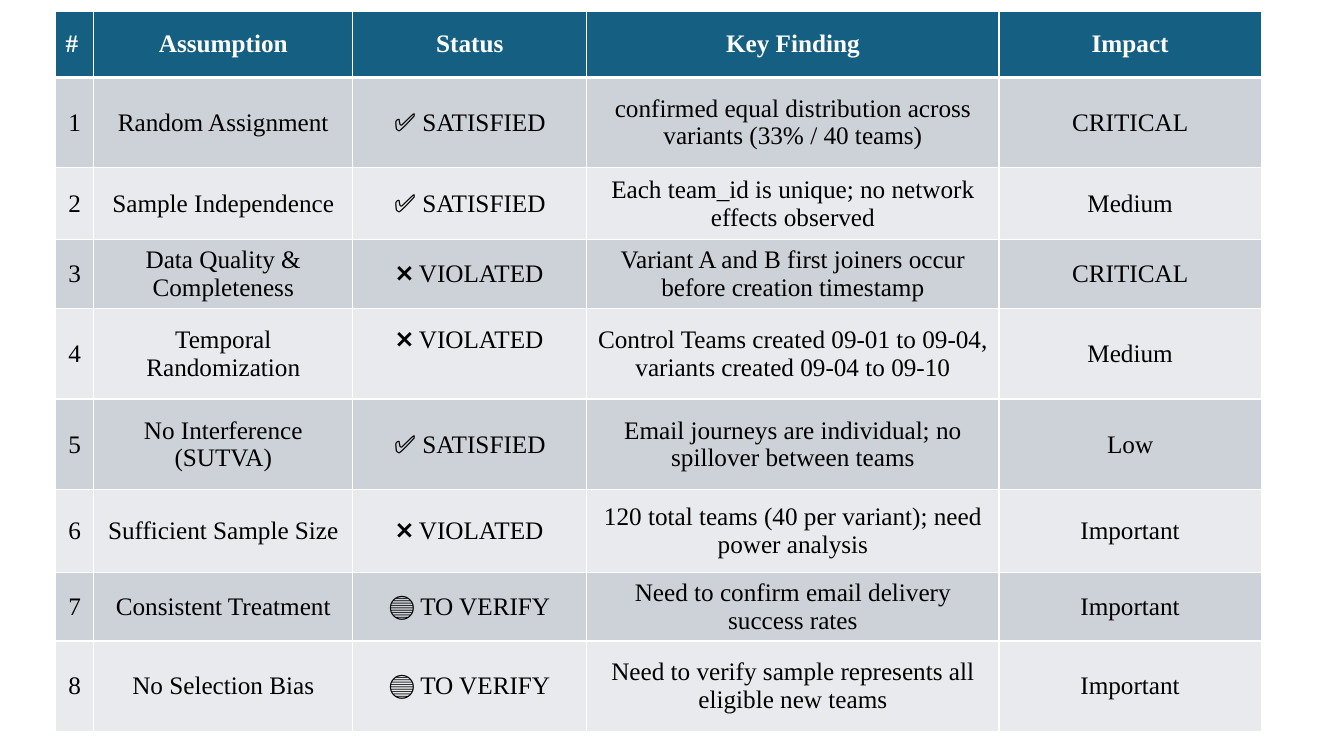
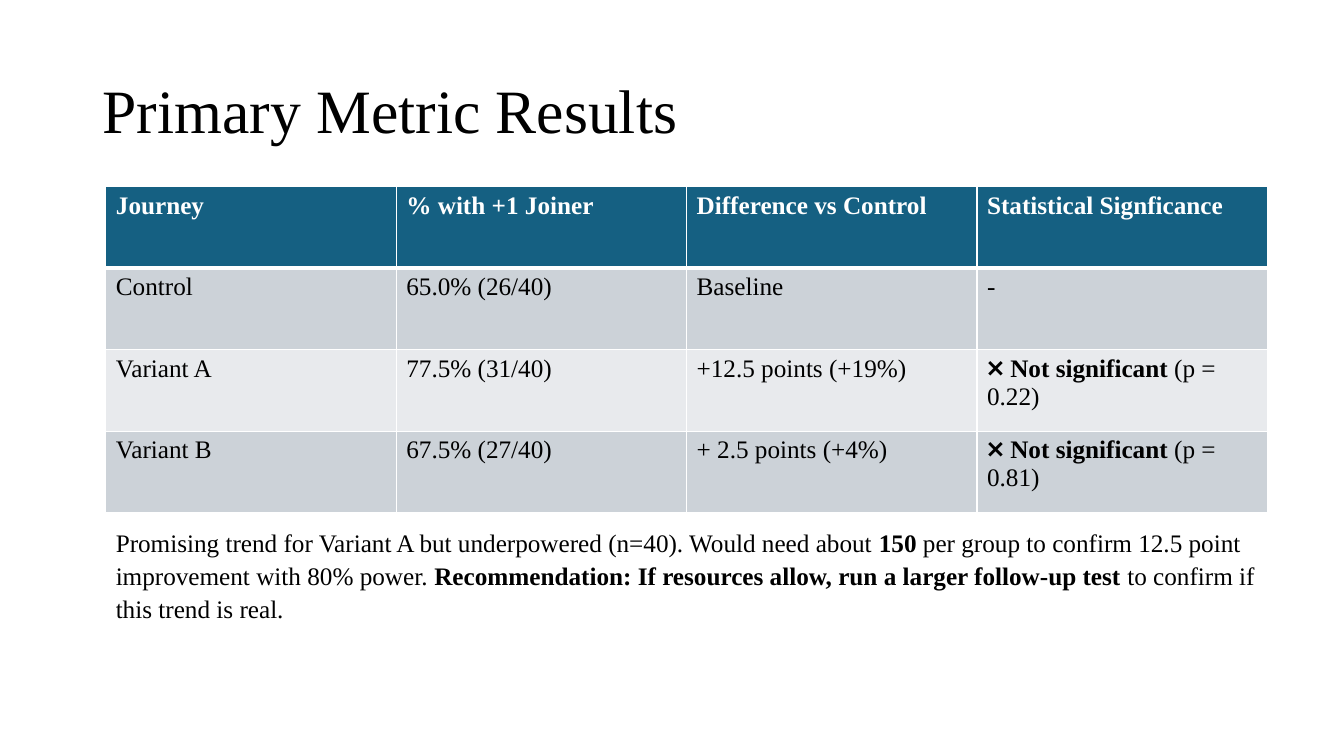
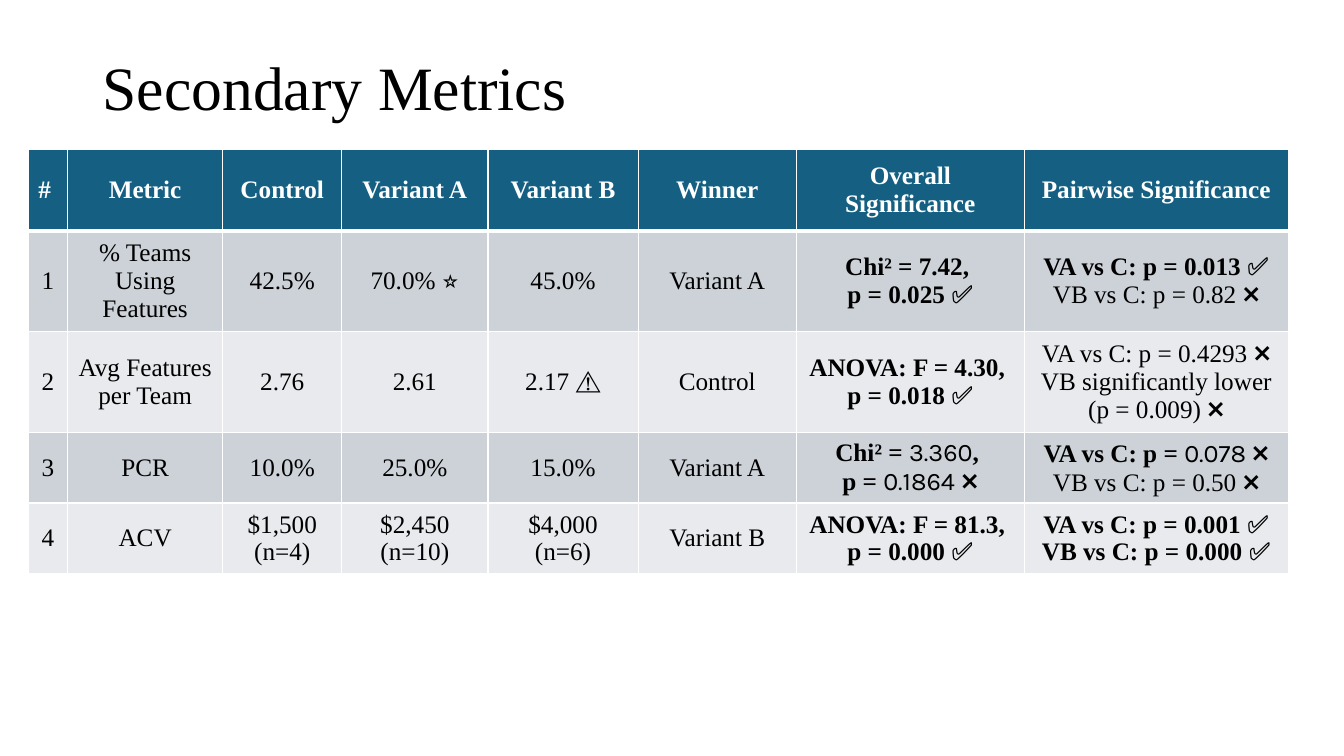
from dataclasses import dataclass

from lxml.etree import SubElement
from pptx import Presentation
from pptx.dml.color import RGBColor
from pptx.enum.text import MSO_ANCHOR as Anchor, PP_ALIGN as Align
from pptx.oxml.ns import qn
from pptx.util import Pt

PX = 9144


def px(length):
    return length * PX


def color(hex_code):
    return RGBColor.from_string(hex_code)


@dataclass
class Run:
    text: str
    bold: bool = False
    font: str = "Times New Roman"


def bold(text):
    return Run(text, bold=True)


def karla(text):
    return Run(text, font="Karla")


class Deck:
    INK, WHITE, HEADER = "000000", "FFFFFF", "156082"
    BANDS = ["CCD2D8", "E8EAED"]
    THIN, THICK = 1, 3

    def __init__(self):
        self.prs = Presentation()
        self.prs.slide_width, self.prs.slide_height = px(1333), px(750)
        self.slide = None

    def new_slide(self):
        self.slide = self.prs.slides.add_slide(self.prs.slide_layouts[6])

    def add_runs(self, paragraph, runs, size=18, ink=INK):
        for part in runs:
            run = paragraph.add_run()
            run.text = part.text
            run.font.name = part.font
            run.font.size = Pt(size)
            run.font.bold = part.bold
            run.font.color.rgb = color(ink)

    def text(self, left, top, width, height, runs, size=18, spacing=1.1,
             anchor=Anchor.TOP):
        frame = self.slide.shapes.add_textbox(
            px(left), px(top), px(width), px(height)).text_frame
        frame.word_wrap = True
        frame.vertical_anchor = anchor
        frame.paragraphs[0].line_spacing = spacing
        self.add_runs(frame.paragraphs[0], runs, size)

    def title(self, top, words):
        self.text(92, top, 1150, 145, [Run(words)], 44, 0.9, Anchor.MIDDLE)

    def borders(self, cell, top, bottom):
        properties = cell._tc.get_or_add_tcPr()
        sides = {"L": self.THIN, "R": self.THIN, "T": top, "B": bottom}
        for side, points in sides.items():
            line = SubElement(properties, qn(f"a:ln{side}"), w=str(Pt(points)))
            fill = SubElement(line, qn("a:solidFill"))
            SubElement(fill, qn("a:srgbClr"), val=self.WHITE)

    def cell(self, cell, content, row, align, anchor):
        header = row == 0
        self.borders(cell, self.THICK if row == 1 else self.THIN,
                     self.THICK if header else self.THIN)
        cell.fill.solid()
        cell.fill.fore_color.rgb = color(
            self.HEADER if header else self.BANDS[(row - 1) % 2])
        cell.vertical_anchor = anchor
        lines = [[Run(content, header)]] if isinstance(content, str) else content
        for index, runs in enumerate(lines):
            frame = cell.text_frame
            paragraph = frame.add_paragraph() if index else frame.paragraphs[0]
            paragraph.alignment = align
            self.add_runs(paragraph, runs, ink=self.WHITE if header else self.INK)

    def table(self, left, top, widths, heights, rows, align=Align.CENTER,
              anchor=Anchor.MIDDLE):
        table = self.slide.shapes.add_table(
            len(rows), len(widths), px(left), px(top),
            px(sum(widths)), px(sum(heights))).table
        for column, width in zip(table.columns, widths):
            column.width = px(width)
        for row, height in zip(table.rows, heights):
            row.height = px(height)
        for r, contents in enumerate(rows):
            for c, content in enumerate(contents):
                cell_align = Align.LEFT if content == "#" else align
                self.cell(table.cell(r, c), content, r, cell_align, anchor)
        return table


SATISFIED, VIOLATED, TO_VERIFY = "✅ SATISFIED", "❌ VIOLATED", "🔵 TO VERIFY"

ASSUMPTIONS = [
    ["#", "Assumption", "Status", "Key Finding", "Impact"],
    ["1", "Random Assignment", SATISFIED,
     "confirmed equal distribution across variants (33% / 40 teams)", "CRITICAL"],
    ["2", "Sample Independence", SATISFIED,
     "Each team_id is unique; no network effects observed", "Medium"],
    ["3", "Data Quality & Completeness", VIOLATED,
     "Variant A and B first joiners occur before creation timestamp", "CRITICAL"],
    ["4", "Temporal Randomization", VIOLATED,
     "Control Teams created 09-01 to 09-04, variants created 09-04 to 09-10",
     "Medium"],
    ["5", "No Interference (SUTVA)", SATISFIED,
     "Email journeys are individual; no spillover between teams", "Low"],
    ["6", "Sufficient Sample Size", VIOLATED,
     "120 total teams (40 per variant); need power analysis", "Important"],
    ["7", "Consistent Treatment", TO_VERIFY,
     "Need to confirm email delivery success rates", "Important"],
    ["8", "No Selection Bias", TO_VERIFY,
     "Need to verify sample represents all eligible new teams", "Important"],
]


def not_significant(p):
    return [[Run("❌ "), bold("Not significant"), Run(f" (p = {p})")]]


PRIMARY = [
    ["Journey", "% with +1 Joiner", "Difference vs Control",
     "Statistical Signficance"],
    ["Control", "65.0% (26/40)", "Baseline", "-"],
    ["Variant A", "77.5% (31/40)", "+12.5 points (+19%)", not_significant("0.22")],
    ["Variant B", "67.5% (27/40)", "+ 2.5 points (+4%)", not_significant("0.81")],
]


def overall(test, p):
    return [[bold(f"{test}, ")], [bold(f"p = {p}"), Run(" ✅")]]


def passed(pair, p):
    return [bold(f"{pair} vs C: p = {p} "), Run("✅")]


def failed(finding):
    return [Run(f"{finding} ❌")]


SECONDARY = [
    ["#", "Metric", "Control", "Variant A", "Variant B", "Winner",
     "Overall Significance", "Pairwise Significance"],
    ["1", "% Teams Using Features", "42.5%", "70.0% ⭐", "45.0%", "Variant A",
     overall("Chi² = 7.42", "0.025"),
     [passed("VA", "0.013"), failed("VB vs C: p = 0.82")]],
    ["2", "Avg Features per Team", "2.76", "2.61", "2.17 ⚠️", "Control",
     overall("ANOVA: F = 4.30", "0.018"),
     [failed("VA vs C: p = 0.4293"),
      failed("VB significantly lower (p = 0.009)")]],
    ["3", "PCR", "10.0%", "25.0%", "15.0%", "Variant A",
     [[bold("Chi² = "), karla("3.360"), bold(", ")],
      [bold("p = "), karla("0.1864"), Run(" ❌")]],
     [[bold("VA vs C: p = "), karla("0.078 "), Run("❌")],
      failed("VB vs C: p = 0.50")]],
    ["4", "ACV", "$1,500 (n=4)", "$2,450 (n=10)", "$4,000 (n=6)", "Variant B",
     overall("ANOVA: F = 81.3", "0.000"),
     [passed("VA", "0.001"), passed("VB", "0.000")]],
]


def main():
    deck = Deck()

    deck.new_slide()
    assumptions = deck.table(55, 11, [38, 257, 232, 409, 260],
                             [66, 89, 72, 68, 90, 90, 82, 68, 90], ASSUMPTIONS)
    assumptions.cell(4, 2).margin_bottom = px(33)

    deck.new_slide()
    deck.title(40, "Primary Metric Results")
    deck.table(105, 185, [288] * 4, [81] * 4, PRIMARY, Align.LEFT, Anchor.TOP)
    deck.text(105, 515, 1150, 101, [
        Run("Promising trend for Variant A but underpowered (n=40). "
            "Would need about "),
        bold("150"),
        Run(" per group to confirm 12.5 point improvement with 80% power. "),
        bold("Recommendation: If resources allow, run a larger follow-up test"),
        Run(" to confirm if this trend is real."),
    ])

    deck.new_slide()
    deck.table(28, 148, [39, 154, 118, 145, 149, 157, 226, 262],
               [81, 93, 93, 69, 65], SECONDARY)
    deck.title(17, "Secondary Metrics")

    deck.prs.save("out.pptx")


if __name__ == "__main__":
    main()
